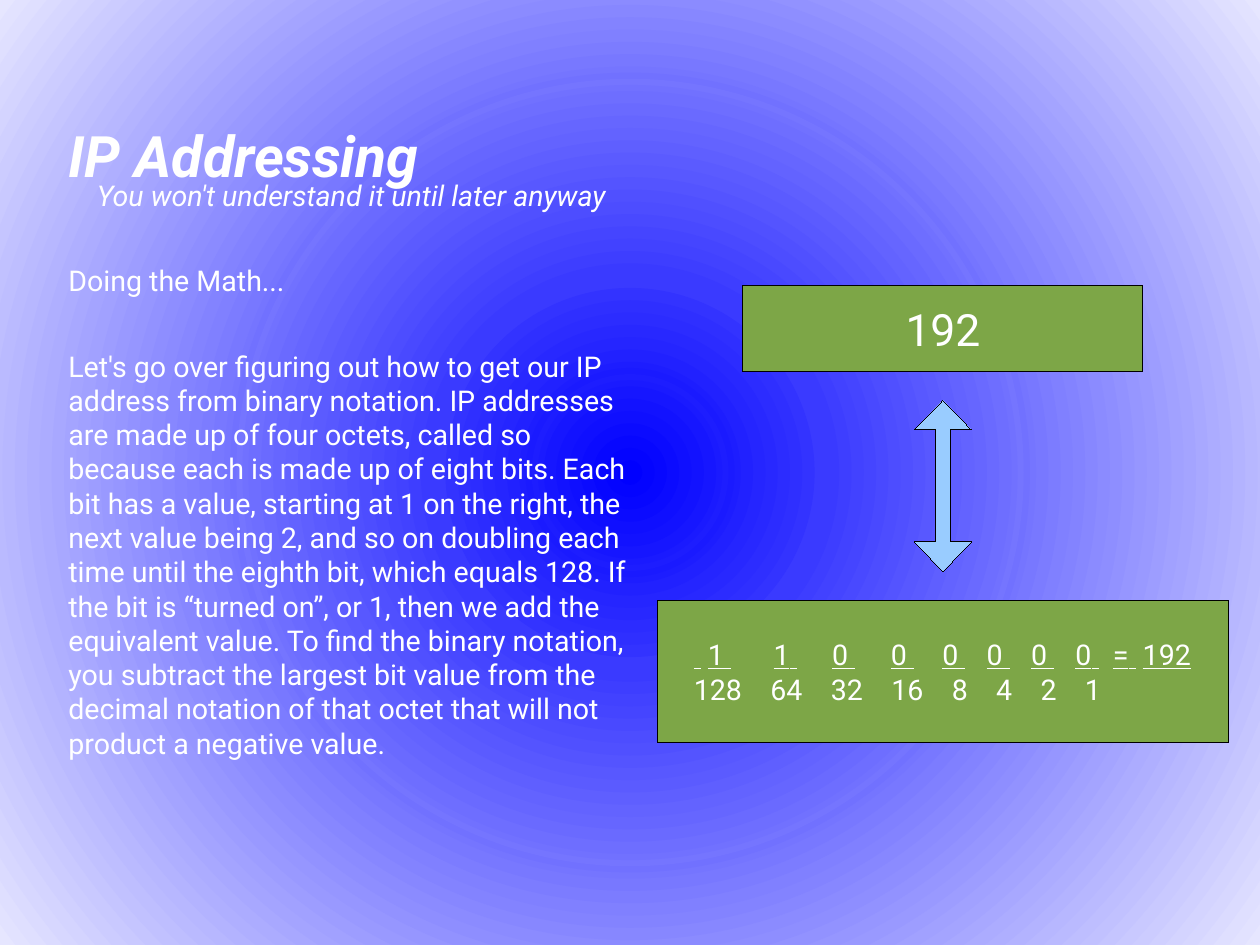
import dataclasses

import pptx
import pptx.dml.color
import pptx.enum.shapes
import pptx.enum.text
import pptx.oxml
import pptx.oxml.ns
import pptx.util

Inches = pptx.util.Inches
Pt = pptx.util.Pt
Shape = pptx.enum.shapes.MSO_SHAPE
Anchor = pptx.enum.text.MSO_ANCHOR
Align = pptx.enum.text.PP_ALIGN
qn = pptx.oxml.ns.qn
SPACE = pptx.oxml.ns.nsdecls("a")


@dataclasses.dataclass(frozen=True)
class Theme:
    font: str = "Roboto"
    ink: str = "FFFFFF"
    edge: str = "000000"
    box: str = "7DA647"
    arrow: str = "99CCFF"
    rim: int = 230
    rings: int = 64
    head: int = 36
    big: int = 28
    body: int = 18


THEME = Theme()

LESSON = (
    "Let's go over figuring out how to get our IP address from binary notation. "
    "IP addresses are made up of four octets, called so because each is made up "
    "of eight bits. Each bit has a value, starting at 1 on the right, the next "
    "value being 2, and so on doubling each time until the eighth bit, which "
    "equals 128. If the bit is “turned on”, or 1, then we add the equivalent "
    "value. To find the binary notation, you subtract the largest bit value from "
    "the decimal notation of that octet that will not product a negative value."
)

OCTET = 192
BITS = ["", *f"{OCTET:08b}", "=", str(OCTET)]
BIT_GAPS = [2, 7, 6, 6, 5, 4, 4, 4, 3, 2]
VALUES = [str(2 ** power) for power in range(7, -1, -1)]
VALUE_GAPS = [4] * 7
BLANK = 4.46


def color(code):
    return pptx.dml.color.RGBColor.from_string(code)


def style(para, size, bold=False, italic=False, under=False, align=Align.LEFT):
    para.alignment = align
    for run in para.runs:
        font = run.font
        font.name = THEME.font
        font.size = Pt(size)
        font.bold = bold
        font.italic = italic
        font.underline = under
        font.color.rgb = color(THEME.ink)


def place(shape, left, top, width, height):
    shape.left, shape.top = Inches(left), Inches(top)
    shape.width, shape.height = Inches(width), Inches(height)


def paint(slide):
    slide.background.fill.gradient()
    grad = slide.element.find(".//" + qn("a:gradFill"))
    for child in list(grad):
        grad.remove(child)
    stops = ""
    for ring in range(THEME.rings):
        tone = round(THEME.rim * ring / (THEME.rings - 1))
        for edge in (ring, ring + 1):
            spot = round(100000 * edge / THEME.rings)
            stops += (f'<a:gs pos="{spot}">'
                      f'<a:srgbClr val="{tone:02X}{tone:02X}FF"/></a:gs>')
    grad.append(pptx.oxml.parse_xml(f"<a:gsLst {SPACE}>{stops}</a:gsLst>"))
    grad.append(pptx.oxml.parse_xml(
        f'<a:path {SPACE} path="circle">'
        '<a:fillToRect l="50000" t="50000" r="50000" b="50000"/></a:path>'
    ))


def add_title(slide, text, *area):
    title = slide.shapes.title
    place(title, *area)
    frame = title.text_frame
    frame.text = text
    frame.word_wrap = True
    frame.auto_size = pptx.enum.text.MSO_AUTO_SIZE.NONE
    frame.vertical_anchor = Anchor.TOP
    style(frame.paragraphs[0], THEME.head, bold=True, italic=True)


def add_note(slide, text, *area, italic=False):
    note = slide.shapes.add_textbox(*map(Inches, area))
    frame = note.text_frame
    frame.word_wrap = True
    frame.text = text
    style(frame.paragraphs[0], THEME.body, italic=italic)


def add_block(slide, kind, fill, *area):
    block = slide.shapes.add_shape(kind, *map(Inches, area))
    block.shadow.inherit = False
    block.fill.solid()
    block.fill.fore_color.rgb = color(fill)
    block.line.color.rgb = color(THEME.edge)
    block.line.width = Pt(0.01)
    block.text_frame.vertical_anchor = Anchor.MIDDLE
    return block


def add_arrow(slide, shaft, head, *area):
    arrow = add_block(slide, Shape.UP_DOWN_ARROW, THEME.arrow, *area)
    guides = arrow.element.find(".//" + qn("a:avLst"))
    for guide in list(guides):
        guides.remove(guide)
    for name, part in (("adj1", shaft), ("adj2", head)):
        guides.append(pptx.oxml.parse_xml(
            f'<a:gd {SPACE} name="{name}" fmla="val {round(part * 100000)}"/>'
        ))


def add_row(para, words, gaps, under=False):
    para.text = words[0]
    for word, gap in zip(words[1:], gaps):
        blank = para.add_run()
        blank.text = " "
        wide = round((gap - 1) * BLANK * 100)
        blank._r.get_or_add_rPr().set("spc", str(wide))
        para.add_run().text = word
    style(para, THEME.body, under=under)


def main():
    deck = pptx.Presentation()
    deck.slide_width, deck.slide_height = Inches(28 / 2.54), Inches(21 / 2.54)
    slide = deck.slides.add_slide(deck.slide_layouts[5])
    paint(slide)
    add_title(slide, "IP Addressing", 0.5, 1, 6.5, 0.74)
    add_note(slide, "You won't understand it until later anyway",
             0.75, 1.51, 6.75, 0.49, italic=True)
    add_note(slide, "Doing the Math...", 0.5, 2.25, 3.75, 0.5)
    add_note(slide, LESSON, 0.5, 3, 5.25, 4.9)

    total = add_block(slide, Shape.RECTANGLE, THEME.box, 6.5, 2.5, 3.5, 0.75)
    total.text_frame.text = str(OCTET)
    style(total.text_frame.paragraphs[0], THEME.big, align=Align.CENTER)

    add_arrow(slide, 0.26, 0.52, 8, 3.5, 0.5, 1.5)

    board = add_block(slide, Shape.RECTANGLE, THEME.box, 5.75, 5.25, 5, 1.25)
    frame = board.text_frame
    frame.margin_left = Inches(0.32)
    add_row(frame.paragraphs[0], BITS, BIT_GAPS, under=True)
    add_row(frame.add_paragraph(), VALUES, VALUE_GAPS)
    deck.save("out.pptx")


if __name__ == "__main__":
    main()
